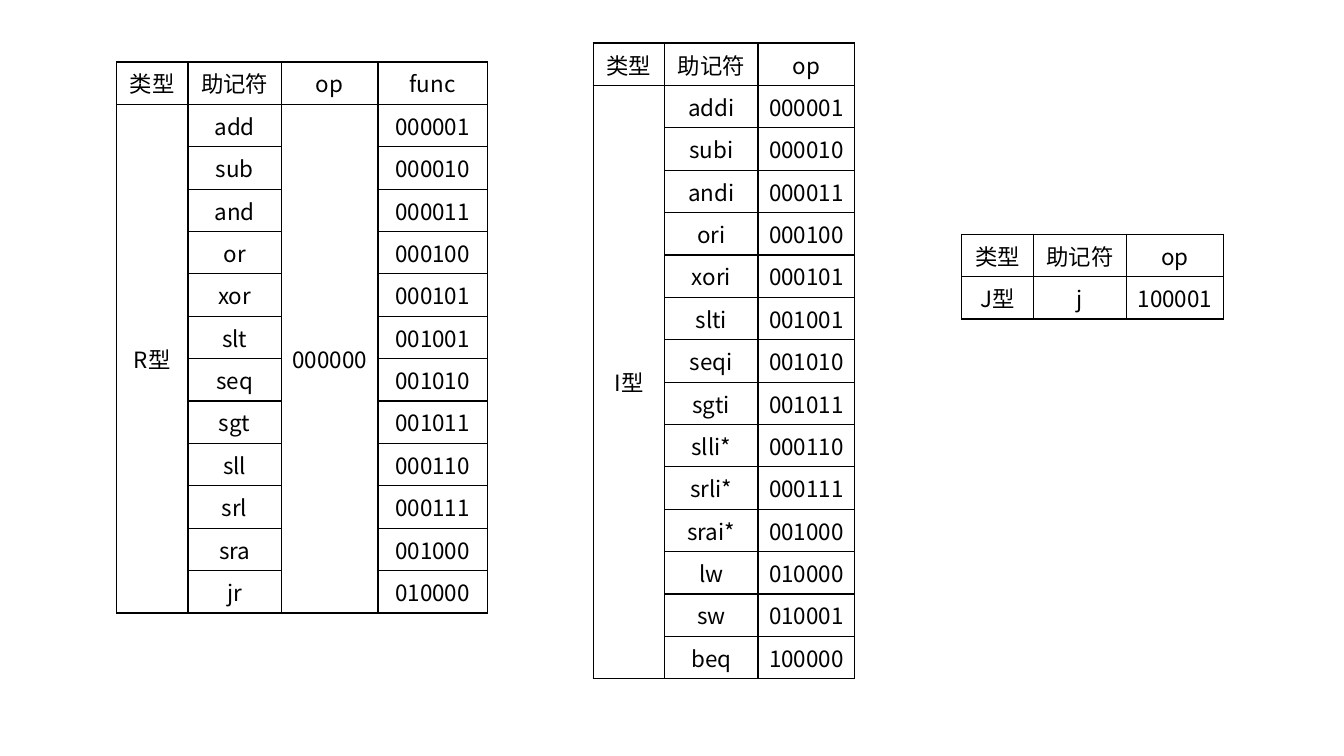
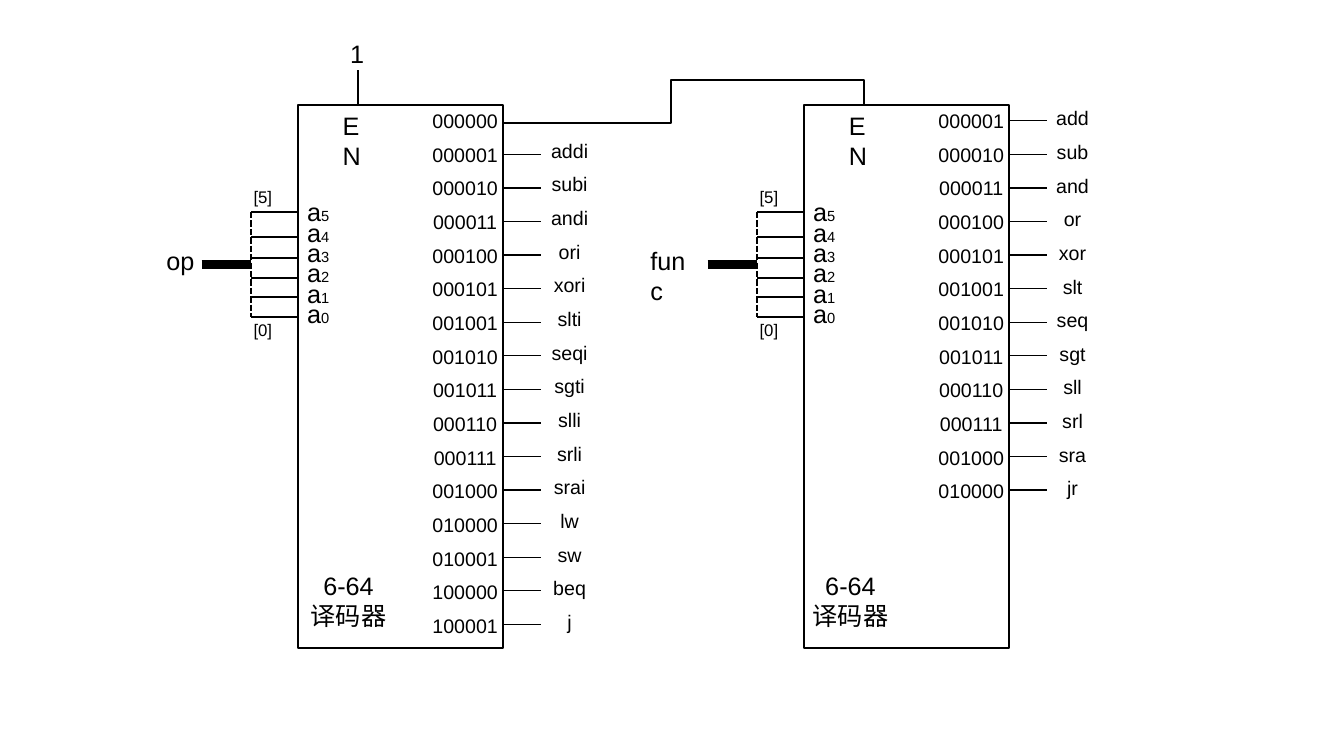
import pptx
import pptx.util
import pptx.dml.color
import pptx.enum.dml
import pptx.enum.shapes
import pptx.enum.text
import pptx.oxml
import pptx.oxml.ns

HUES = {"ink": "000000"}
FONTS = {"grid": "Noto Sans CJK SC", "wire": "Arial"}
PX = 9525
WIDE, HIGH = 1280, 720

HEAD = ("类型", "助记符", "op", "func")
COLS = (68, 89, 92, 104)
R_OPS = [
    ("add", "000001"), ("sub", "000010"), ("and", "000011"),
    ("or", "000100"), ("xor", "000101"), ("slt", "001001"),
    ("seq", "001010"), ("sgt", "001011"), ("sll", "000110"),
    ("srl", "000111"), ("sra", "001000"), ("jr", "010000"),
]
I_OPS = [
    ("addi", "000001"), ("subi", "000010"), ("andi", "000011"),
    ("ori", "000100"), ("xori", "000101"), ("slti", "001001"),
    ("seqi", "001010"), ("sgti", "001011"), ("slli*", "000110"),
    ("srli*", "000111"), ("srai*", "001000"), ("lw", "010000"),
    ("sw", "010001"), ("beq", "100000"),
]
J_OPS = [("j", "100001")]
R_CODE = "000000"
TABLES = [
    {"kind": "R型", "at": (111, 59), "ops": R_OPS, "mid": (R_CODE,)},
    {"kind": "I型", "at": (565, 41), "ops": I_OPS, "mid": ()},
    {"kind": "J型", "at": (916, 223), "ops": J_OPS, "mid": ()},
]
UNITS = [
    {"x": 284, "bus": "op", "bus_at": (149, 47), "names_at": (498, 129),
     "note_x": 286, "ops": [("", R_CODE)] + I_OPS + J_OPS},
    {"x": 766, "bus": "func", "bus_at": (610, 64), "names_at": (977, 98),
     "note_x": 764, "ops": R_OPS},
]
PINS = [(182, 202), (202, 226), (221, 246), (240, 265), (260, 283), (279, 302)]
BOX = {"y": 100, "w": 195, "h": 517}
STEP = 32
TICK = 36
NOTE = ["6-64", "译码器"]
SIDES = ("lnL", "lnR", "lnT", "lnB")
CENTER = pptx.enum.text.PP_ALIGN.CENTER
LEFT = pptx.enum.text.PP_ALIGN.LEFT
TOP = pptx.enum.text.MSO_ANCHOR.TOP
MIDDLE = pptx.enum.text.MSO_ANCHOR.MIDDLE


def px(*nums):
    return [round(num * PX) for num in nums]


def ink():
    return pptx.dml.color.RGBColor.from_string(HUES["ink"])


def style(font, size, face):
    font.size = pptx.util.Pt(size)
    font.name = face
    font.color.rgb = ink()


def edge(cell, sides):
    props = cell._tc.get_or_add_tcPr()
    for spot, side in enumerate(SIDES):
        paint = (f'<a:solidFill><a:srgbClr val="{HUES["ink"]}"/></a:solidFill>'
                 if side in sides else "<a:noFill/>")
        props.insert(spot, pptx.oxml.parse_xml(
            f'<a:{side} {pptx.oxml.ns.nsdecls("a")} w="12700">{paint}</a:{side}>'))


def grid(slide, x, y, cols, rows, high, size, face, sides=(), tops=()):
    frame = slide.shapes.add_table(
        len(rows), len(cols), *px(x, y, sum(cols), high * len(rows)))
    table = frame.table
    table.first_row = table.horz_banding = False
    for col, wide in zip(table.columns, cols):
        col.width = round(wide * PX)
    for i, row in enumerate(rows):
        table.rows[i].height = round(high * PX)
        for j, text in enumerate(row):
            cell = table.cell(i, j)
            cell.fill.background()
            cell.vertical_anchor = TOP if (i, j) in tops else MIDDLE
            edge(cell, sides)
            para = cell.text_frame.paragraphs[0]
            para.text = text
            para.alignment = CENTER
            style(para.font, size, face)
    return table


def label(slide, x, y, w, h, lines, size=18, align=LEFT):
    frame = slide.shapes.add_textbox(*px(x, y, w, h)).text_frame
    frame.word_wrap = True
    for i, line in enumerate(lines):
        para = frame.add_paragraph() if i else frame.paragraphs[0]
        para.text = line
        para.alignment = align
        style(para.font, size, FONTS["wire"])
    return frame


def wire(slide, x1, y1, x2, y2, width=1.5, elbow=False):
    kinds = pptx.enum.shapes.MSO_CONNECTOR
    line = slide.shapes.add_connector(
        kinds.ELBOW if elbow else kinds.STRAIGHT, *px(x1, y1, x2, y2))
    line.line.color.rgb = ink()
    line.line.width = pptx.util.Pt(width)
    line._element.spPr.append(pptx.oxml.parse_xml(
        f'<a:effectLst {pptx.oxml.ns.nsdecls("a")}/>'))
    return line


def link(slide, x1, y1, x2, y2, turn_x, turn_y):
    w, h = y2 - y1, x1 - x2
    left, top = (x1 + x2 - w) / 2, (y1 + y2 - h) / 2
    props = wire(slide, left, top, left + w, top + h, elbow=True)._element.spPr
    for key, val in (("rot", "16200000"), ("flipH", "1"), ("flipV", "1")):
        props.xfrm.set(key, val)
    shape = props.find(pptx.oxml.ns.qn("a:prstGeom"))
    shape.set("prst", "bentConnector4")
    for old in list(shape):
        shape.remove(old)
    adj1 = round((turn_y - y1) / w * 100000)
    adj2 = round((x1 - turn_x) / h * 100000)
    shape.append(pptx.oxml.parse_xml(
        f'<a:avLst {pptx.oxml.ns.nsdecls("a")}>'
        f'<a:gd name="adj1" fmla="val {adj1}"/>'
        f'<a:gd name="adj2" fmla="val {adj2}"/></a:avLst>'))


def op_table(slide, kind, at, ops, mid):
    count = 3 + len(mid)
    rows = [HEAD[:count]]
    for i, (name, code) in enumerate(ops):
        lead, fill = ("", ("",) * len(mid)) if i else (kind, mid)
        rows.append((lead, name, *fill, code))
    if len(ops) > 1:
        tops = {(i, 1) for i in range(1, len(rows))}
    else:
        tops = {(i, j) for i in range(len(rows)) for j in range(count)}
    table = grid(slide, *at, COLS[:count], rows, 39, 16, FONTS["grid"], SIDES, tops)
    if len(ops) > 1:
        for col in (0, 2) if mid else (0,):
            table.cell(1, col).merge(table.cell(len(ops), col))
    else:
        table.rows[0].height = 33 * PX


def ticks(slide, x, y, count, open_ends):
    table = grid(slide, x, y, (TICK,), [("",)] * count, STEP, 14, FONTS["wire"])
    for i in range(count):
        cell = table.cell(i, 0)
        cell.margin_top = cell.margin_bottom = 0
        sides = {"lnT", "lnB"}
        if open_ends and i == 0:
            sides.remove("lnT")
        if open_ends and i == count - 1:
            sides.remove("lnB")
        props = cell._tc.get_or_add_tcPr()
        for side in SIDES:
            props.remove(props.find(pptx.oxml.ns.qn(f"a:{side}")))
        edge(cell, sides)


def decoder(slide, x, bus, bus_at, names_at, note_x, ops):
    top, right, bus_x = BOX["y"], x + BOX["w"], x - 45
    box = slide.shapes.add_shape(
        pptx.enum.shapes.MSO_SHAPE.RECTANGLE, *px(x, top, BOX["w"], BOX["h"]))
    box.shadow.inherit = False
    box.fill.background()
    box.line.color.rgb = ink()
    box.line.width = pptx.util.Pt(1.5)

    label(slide, bus_at[0], 229, bus_at[1], 38, [bus])
    wire(slide, bus_x - 47, 252, bus_x, 252, 6)
    rail = wire(slide, bus_x, PINS[0][1], bus_x, PINS[-1][1])
    rail.line.dash_style = pptx.enum.dml.MSO_LINE.SQUARE_DOT
    for i, (text_y, pin_y) in enumerate(PINS):
        para = label(slide, x - 1, text_y, 57, 38, [""]).paragraphs[0]
        for text, size in (("a", 18), (str(len(PINS) - 1 - i), 10.5)):
            run = para.add_run()
            run.text = text
            style(run.font, size, FONTS["wire"])
        wire(slide, bus_x, pin_y, x, pin_y)
    for text, y in (("[5]", 173), ("[0]", 300)):
        label(slide, bus_x - 7, y, 38, 29, [text], 12)
    label(slide, x + 33, top, 49, 38, ["EN"])
    label(slide, note_x, 538, 92, 68, NOTE, align=CENTER)

    grid(slide, x + 113, top, (92,), [(code,) for _, code in ops],
         STEP, 14, FONTS["wire"])
    names = [(name.strip("*"),) for name, _ in ops if name]
    grid(slide, *names_at, (89,), names, STEP, 14, FONTS["wire"],
         tops={(i, 0) for i in range(len(names))})
    skip = len(ops) - len(names)
    ticks(slide, right, top + 15, len(ops) - 1 + skip, skip > 0)


def main():
    deck = pptx.Presentation()
    deck.slide_width, deck.slide_height = px(WIDE, HIGH)
    blank = deck.slide_layouts[6]

    codes = deck.slides.add_slide(blank)
    for item in TABLES:
        op_table(codes, **item)

    logic = deck.slides.add_slide(blank)
    for unit in UNITS:
        decoder(logic, **unit)
    wire(logic, 341, BOX["y"], 341, 67)
    label(logic, 324, 32, 24, 38, ["1"])
    link(logic, 823, BOX["y"], 479, 117, 639, 76)

    deck.save("out.pptx")


if __name__ == "__main__":
    main()
